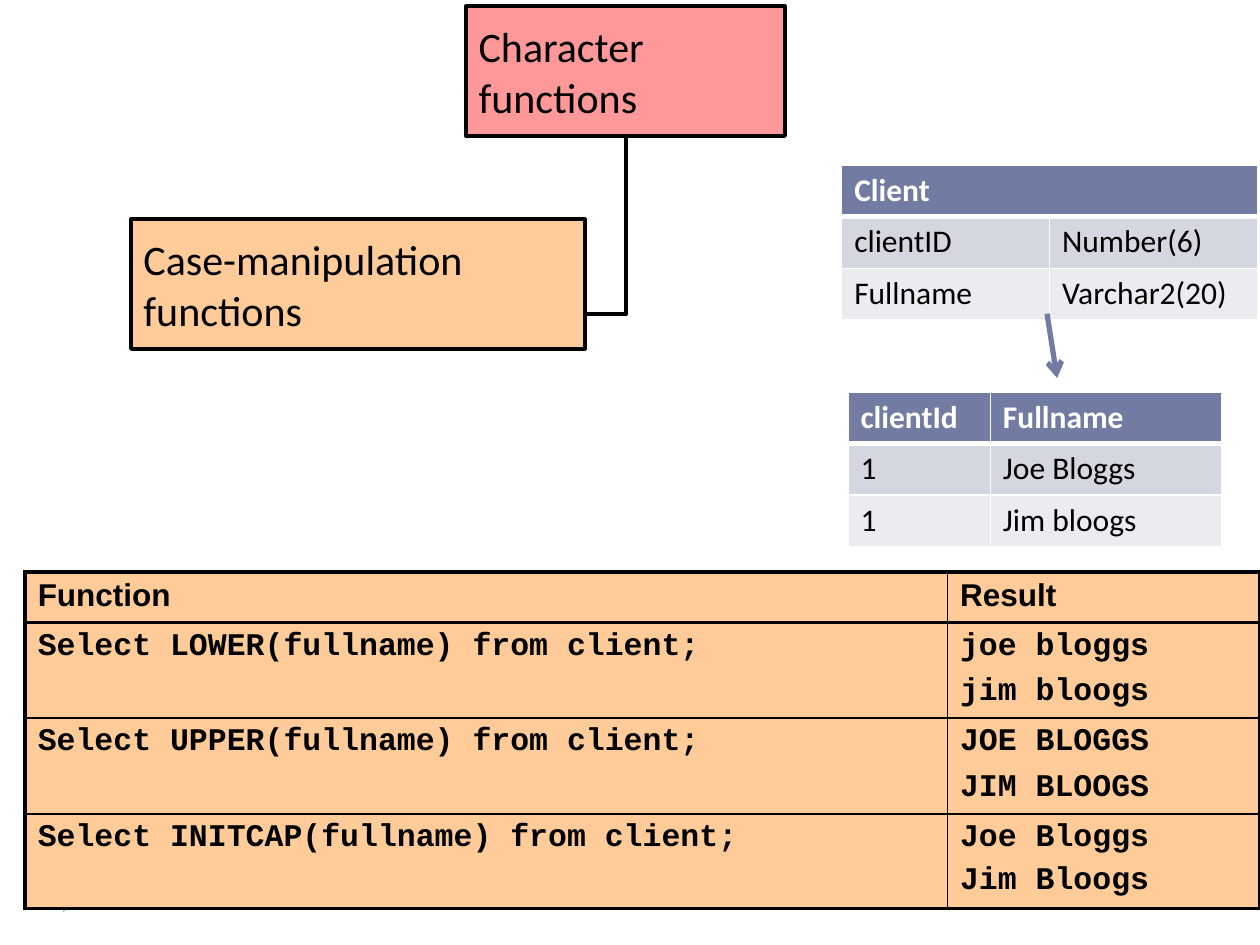
import pptx
import pptx.dml.color
import pptx.enum.shapes
import pptx.enum.text
import pptx.oxml
import pptx.oxml.ns
import pptx.util
from pptx.util import Inches, Pt

BLACK, WHITE = "000000", "FFFFFF"
PINK, ORANGE = "FF9999", "FFCC99"
BLUE, BAND_DARK, BAND_LIGHT = "727CA3", "D5D7E0", "EBECF0"
PALE_BLUE = "9FB8CD"


def color(value):
    return pptx.dml.color.RGBColor.from_string(value)


def fill_with(target, value):
    target.fill.solid()
    target.fill.fore_color.rgb = color(value)


def style_line(line, value, width):
    line.color.rgb = color(value)
    line.width = Pt(width)


def set_text(text_frame, text, font_name, size, font_color, bold=False):
    text_frame.text = text
    for paragraph in text_frame.paragraphs:
        paragraph.alignment = pptx.enum.text.PP_ALIGN.LEFT
        for run in paragraph.runs:
            run.font.name = font_name
            run.font.size = Pt(size)
            run.font.bold = bold
            run.font.color.rgb = color(font_color)


def add_box(slide, left, top, width, height, text, fill):
    shape = slide.shapes.add_shape(
        pptx.enum.shapes.MSO_SHAPE.RECTANGLE,
        Inches(left), Inches(top), Inches(width), Inches(height))
    shape.shadow.inherit = False
    fill_with(shape, fill)
    style_line(shape.line, BLACK, 2.25)
    shape.text_frame.word_wrap = True
    shape.text_frame.vertical_anchor = pptx.enum.text.MSO_ANCHOR.MIDDLE
    set_text(shape.text_frame, text, "Calibri", 24, BLACK)


def add_line(slide, start, end, line_color, width, arrow=False):
    connector = slide.shapes.add_connector(
        pptx.enum.shapes.MSO_CONNECTOR.STRAIGHT,
        *(Inches(value) for value in start + end))
    style_line(connector.line, line_color, width)
    if arrow:
        line = connector.line._get_or_add_ln()
        pptx.oxml.ns.qn("a:tailEnd")
        line.append(pptx.oxml.parse_xml(
            f'<a:tailEnd {pptx.oxml.ns.nsdecls("a")} type="arrow"/>'))
    properties = connector._element.spPr
    properties.append(pptx.oxml.parse_xml(
        f'<a:effectLst {pptx.oxml.ns.nsdecls("a")}/>'))


def add_elbow(slide, points):
    builder = slide.shapes.build_freeform(
        Inches(points[0][0]), Inches(points[0][1]))
    builder.add_line_segments(
        [(Inches(x), Inches(y)) for x, y in points[1:]], close=False)
    shape = builder.convert_to_shape()
    shape.shadow.inherit = False
    shape.fill.background()
    style_line(shape.line, BLACK, 2.25)


def add_marker(slide):
    shape = slide.shapes.add_shape(
        pptx.enum.shapes.MSO_SHAPE.ISOSCELES_TRIANGLE,
        Inches(0.46), Inches(7.07), Inches(0.21), Inches(0.13))
    shape.rotation = 90
    shape.shadow.inherit = False
    fill_with(shape, PALE_BLUE)
    shape.line.fill.background()


def set_borders(cell, line_color, widths):
    """Draw left, right, top and bottom borders, in points."""
    properties = cell._tc.get_or_add_tcPr()
    for side, width in zip("LRTB", widths):
        properties.append(pptx.oxml.parse_xml(
            f'<a:ln{side} {pptx.oxml.ns.nsdecls("a")} w="{Pt(width)}">'
            f'<a:solidFill><a:srgbClr val="{line_color}"/></a:solidFill>'
            f'</a:ln{side}>'))


def add_table(slide, left, top, columns, heights, rows, line_color, outer, header_rule):
    """Add a ruled table and return it; inner rules are one point wide."""
    table = slide.shapes.add_table(
        len(rows), len(columns), Inches(left), Inches(top),
        Inches(sum(columns)), Inches(sum(heights))).table
    table.first_row = table.horz_banding = False
    for column, width in zip(table.columns, columns):
        column.width = Inches(width)
    for row, height in zip(table.rows, heights):
        row.height = Inches(height)
    vertical = [outer] + [1] * (len(columns) - 1) + [outer]
    horizontal = [outer, header_rule] + [1] * (len(rows) - 2) + [outer]
    for r in range(len(rows)):
        for c in range(len(columns)):
            set_borders(table.cell(r, c), line_color,
                        vertical[c:c + 2] + horizontal[r:r + 2])
    return table


def add_data_table(slide, left, top, columns, rows):
    table = add_table(slide, left, top, columns, [0.41] * len(rows), rows,
                      WHITE, 1, 3)
    for r, (row, fill) in enumerate(zip(rows, (BLUE, BAND_DARK, BAND_LIGHT))):
        for c, text in enumerate(row):
            cell = table.cell(r, c)
            fill_with(cell, fill)
            set_text(cell.text_frame, text, "Calibri", 18,
                     WHITE if r == 0 else BLACK, bold=r == 0)
        if len(row) < len(columns):
            table.cell(r, 0).merge(table.cell(r, len(columns) - 1))


def add_function_table(slide, rows):
    table = add_table(slide, 0.2, 4.54, [7.32, 2.48], [0.4, 0.76, 0.76, 0.75],
                      rows, BLACK, 2.25, 2.25)
    last = len(rows) - 1
    for r, row in enumerate(rows):
        for c, text in enumerate(row):
            cell = table.cell(r, c)
            fill_with(cell, ORANGE)
            set_text(cell.text_frame, text,
                     "Arial" if r == 0 else "Courier New", 18, BLACK, bold=True)
            tight = 0 < r < last or (r == last and c == 0)
            for index, paragraph in enumerate(cell.text_frame.paragraphs):
                if tight:
                    paragraph.line_spacing = 0.95
                if index:
                    paragraph.space_before = Pt(6.5 if tight else 4)


def main():
    presentation = pptx.Presentation()
    presentation.slide_width = Inches(10)
    presentation.slide_height = Inches(7.5)
    slide = presentation.slides.add_slide(presentation.slide_layouts[6])

    # Footer marker, mostly behind the function table
    add_marker(slide)

    # Function hierarchy
    add_box(slide, 3.7, 0.05, 2.53, 1.03, "Character\nfunctions", PINK)
    add_line(slide, (4.97, 1.74), (4.97, 1.08), BLACK, 2.25)
    add_elbow(slide, [(4.64, 2.49), (4.97, 2.49), (4.97, 1.74)])
    add_box(slide, 1.04, 1.74, 3.6, 1.03, "Case-manipulation\nfunctions", ORANGE)

    # Functions and their results
    add_function_table(slide, [
        ("Function", "Result"),
        ("Select LOWER(fullname) from client;", "joe bloggs\njim bloogs"),
        ("Select UPPER(fullname) from client;", "JOE BLOGGS\nJIM BLOOGS"),
        ("Select INITCAP(fullname) from client;", "Joe Bloggs\nJim Bloogs"),
    ])

    # Client definition and its contents
    add_data_table(slide, 6.68, 1.31, [1.65, 1.65], [
        ("Client",), ("clientID", "Number(6)"), ("Fullname", "Varchar2(20)")])
    add_data_table(slide, 6.73, 3.11, [1.13, 1.84], [
        ("clientId", "Fullname"), ("1", "Joe Bloggs"), ("1", "Jim bloogs")])
    add_line(slide, (8.31, 2.49), (8.39, 3), BLUE, 3, arrow=True)

    presentation.save("out.pptx")


if __name__ == "__main__":
    main()
